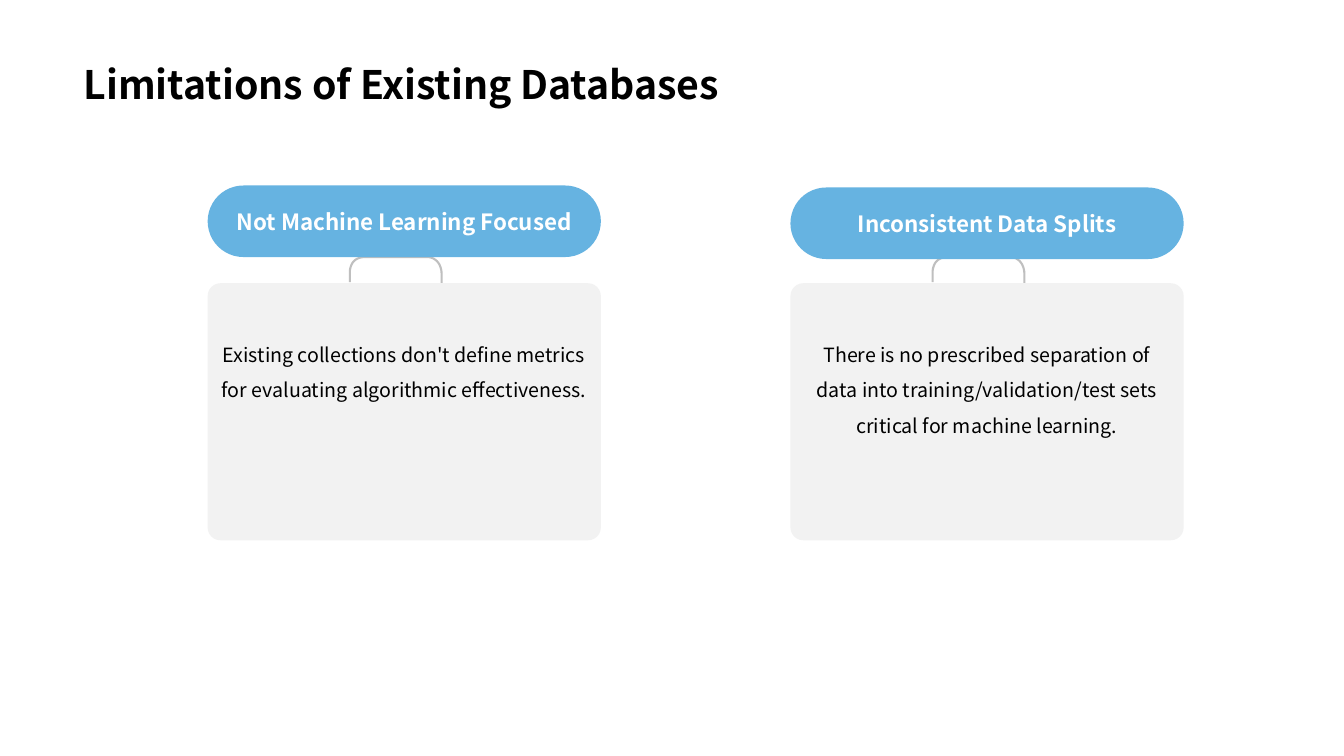
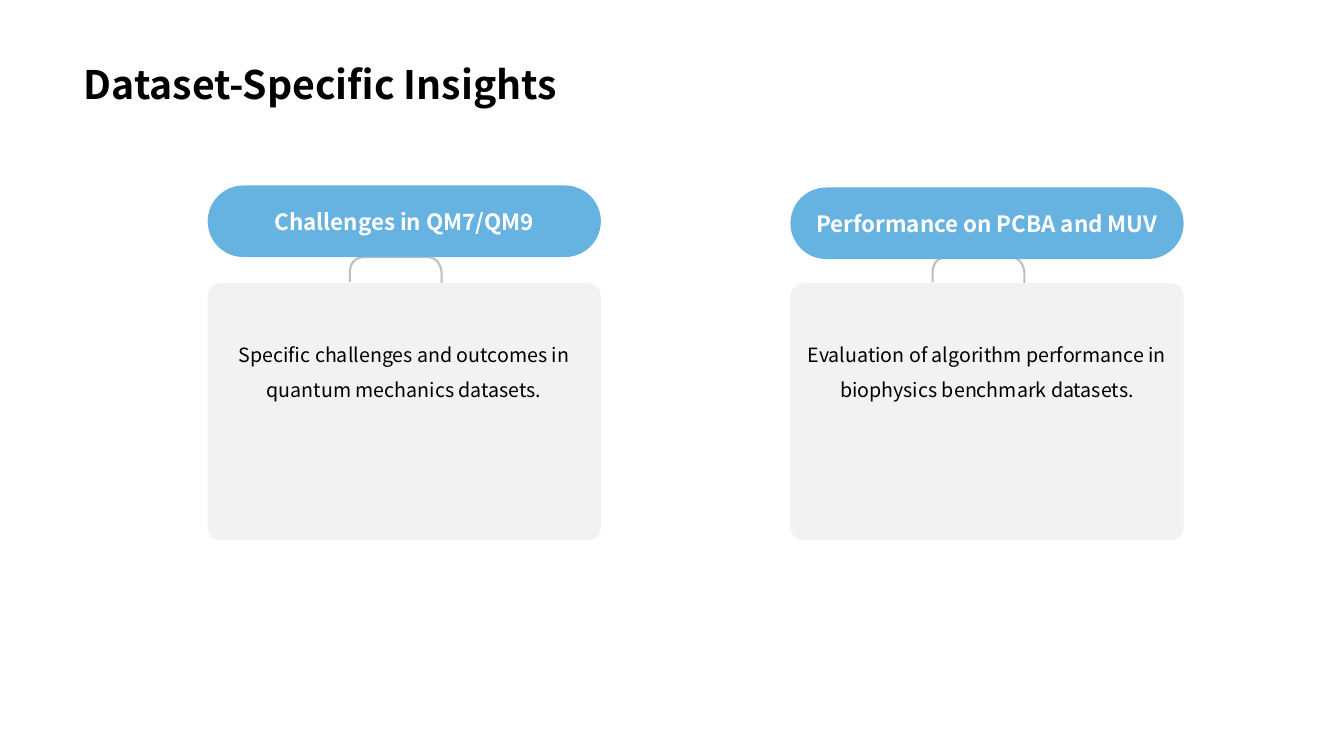
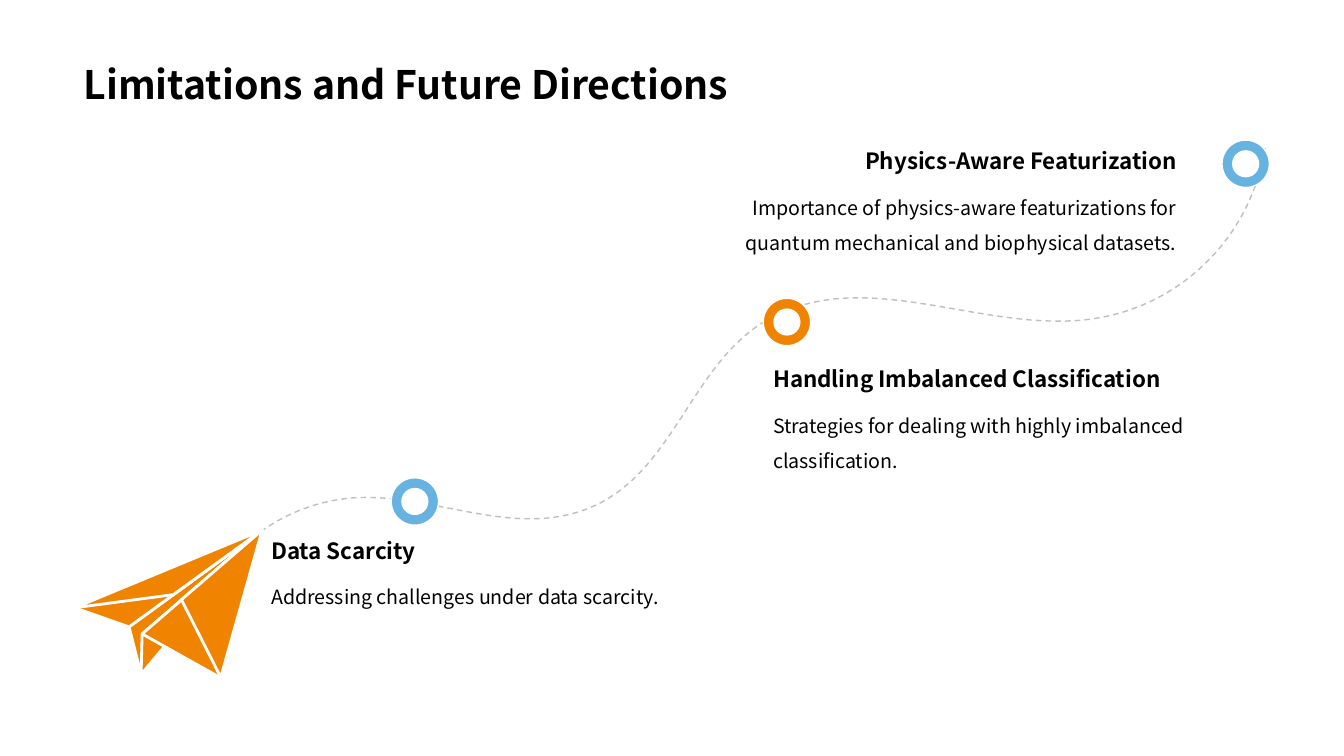
from dataclasses import dataclass

from pptx import Presentation
from pptx.dml.color import RGBColor
from pptx.enum.dml import MSO_LINE
from pptx.enum.shapes import MSO_SHAPE
from pptx.enum.text import MSO_ANCHOR, MSO_AUTO_SIZE, PP_ALIGN
from pptx.util import Pt

DASH = MSO_LINE.DASH
ROUNDED, OVAL = MSO_SHAPE.ROUNDED_RECTANGLE, MSO_SHAPE.OVAL
TOP, MIDDLE, BOTTOM = MSO_ANCHOR.TOP, MSO_ANCHOR.MIDDLE, MSO_ANCHOR.BOTTOM
LEFT, CENTER, RIGHT = PP_ALIGN.LEFT, PP_ALIGN.CENTER, PP_ALIGN.RIGHT
FIXED, GROW = MSO_AUTO_SIZE.NONE, MSO_AUTO_SIZE.SHAPE_TO_FIT_TEXT
EMU_PER_PX = 9144


@dataclass(frozen=True)
class Theme:
    font: str = "Noto Sans CJK SC"
    ink: str = "000000"
    white: str = "FFFFFF"
    blue: str = "66B3E1"
    orange: str = "F08300"
    panel: str = "F2F2F2"
    rule: str = "BFBFBF"
    title_size: int = 28
    heading_size: int = 16
    body_size: int = 14
    body_spacing: float = 1.5


THEME = Theme()
HEADING = dict(size=THEME.heading_size, bold=True)
BODY = dict(size=THEME.body_size, spacing=THEME.body_spacing)

SLIDE_SIZE = (1333, 750)
TITLE_BOX = (73, 0, 1187, 112)

COMPARISONS = [
    ("Limitations of Existing Databases", [
        ("Not Machine Learning Focused",
         "Existing collections don't define metrics for evaluating algorithmic effectiveness."),
        ("Inconsistent Data Splits",
         "There is no prescribed separation of data into training/validation/test sets "
         "critical for machine learning."),
    ]),
    ("Dataset-Specific Insights", [
        ("Challenges in QM7/QM9",
         "Specific challenges and outcomes in quantum mechanics datasets."),
        ("Performance on PCBA and MUV",
         "Evaluation of algorithm performance in biophysics benchmark datasets."),
    ]),
]
CARD_LEFT, CARD_STEP, CARD_WIDTH = 206, 578, 390
PILL_TOP, PILL_DROP, PILL_HEIGHT = 184, 2, 71
PANEL_TOP, PANEL_HEIGHT = 281, 255
PANEL_INSETS = (10, 44, 10, 5)
BRACKET_AT = (141, 255)
BRACKET = [(0, 25), (0, 14), ((1, 4), (7, 0), (16, 0)), (76, 0),
           ((86, 0), (91, 8), (91, 17)), (91, 26)]

ROADMAP_TITLE = "Limitations and Future Directions"
MILESTONES = [
    ("Data Scarcity", "Addressing challenges under data scarcity.",
     (259, 527, 508), LEFT, (388, 474), THEME.blue),
    ("Handling Imbalanced Classification",
     "Strategies for dealing with highly imbalanced classification.",
     (757, 357, 466), LEFT, (757, 296), THEME.orange),
    ("Physics-Aware Featurization",
     "Importance of physics-aware featurizations for quantum mechanical and biophysical datasets.",
     (695, 141, 482), RIGHT, (1212, 139), THEME.blue),
]
HEADING_HEIGHT, BODY_HEIGHT = 37, 77
BADGE, EMBLEM = 47, 27
ROUTE = [(230, 553), ((261, 519), (303, 498), (349, 494)),
         ((429, 488), (512, 537), (589, 502)), ((667, 467), (685, 366), (755, 321)),
         ((856, 257), (979, 336), (1092, 315)), ((1177, 299), (1242, 231), (1255, 145))]
PLANE_NOSE = (260, 526)
PLANE_FOLDS = [
    [(128, 622), (140, 669)],
    [(141, 629), (140, 669)],
    [(74, 603), (128, 622)],
    [(141, 629), (218, 672)],
    [(180, 595), (219, 672)],
    [(74, 603), (172, 590)],
]


def px(*lengths):
    return [round(length * EMU_PER_PX) for length in lengths]


def assign(target, values):
    for name, value in values.items():
        setattr(target, name, value)


def paint(shape, fill=None, line=None, width=1, dash=None):
    shape.shadow.inherit = False
    if fill:
        shape.fill.solid()
        shape.fill.fore_color.rgb = RGBColor.from_string(fill)
    else:
        shape.fill.background()
    if line:
        shape.line.color.rgb = RGBColor.from_string(line)
        assign(shape.line, dict(width=Pt(width), dash_style=dash))
    else:
        shape.line.fill.background()


def write(shape, text, size, color=THEME.ink, bold=False, align=LEFT, spacing=1.0,
          anchor=TOP, insets=(10, 5, 10, 5), fit=FIXED):
    frame = shape.text_frame
    sides = ("margin_left", "margin_top", "margin_right", "margin_bottom")
    assign(frame, dict(zip(sides, px(*insets)),
                       word_wrap=True, auto_size=fit, vertical_anchor=anchor))
    paragraph = frame.paragraphs[0]
    paragraph.text = text
    assign(paragraph, dict(alignment=align, line_spacing=spacing))
    assign(paragraph.font, dict(name=THEME.font, size=Pt(size), bold=bold))
    paragraph.font.color.rgb = RGBColor.from_string(color)


def add_shape(slide, preset, box, corner=None, **look):
    shape = slide.shapes.add_shape(preset, *px(*box))
    if corner is not None:
        shape.adjustments[0] = corner
    paint(shape, **look)
    return shape


def trace(steps, samples=30):
    points = [steps[0]]
    for step in steps[1:]:
        if len(step) == 2:
            points.append(step)
            continue
        controls = (points[-1], *step)
        for i in range(1, samples + 1):
            t = i / samples
            weights = ((1 - t) ** 3, 3 * t * (1 - t) ** 2, 3 * t * t * (1 - t), t ** 3)
            points.append(tuple(sum(w * c[axis] for w, c in zip(weights, controls))
                                for axis in (0, 1)))
    return points


def add_outline(slide, steps, offset=(0, 0), close=False, **look):
    points = [px(x + offset[0], y + offset[1]) for x, y in trace(steps)]
    builder = slide.shapes.build_freeform(*points[0], scale=1.0)
    builder.add_line_segments(points[1:], close=close)
    paint(builder.convert_to_shape(), **look)


def add_titled_slide(deck, title):
    slide = deck.slides.add_slide(deck.slide_layouts[5])
    heading = slide.shapes.title
    assign(heading, dict(zip(("left", "top", "width", "height"), px(*TITLE_BOX))))
    write(heading, title, THEME.title_size, bold=True, spacing=0.9, anchor=BOTTOM)
    return slide


def add_comparison(deck, title, cards):
    slide = add_titled_slide(deck, title)
    for column, (label, detail) in enumerate(cards):
        left = CARD_LEFT + column * CARD_STEP
        add_outline(slide, BRACKET, (left + BRACKET_AT[0], BRACKET_AT[1]),
                    line=THEME.rule, width=1.5)
        pill = add_shape(slide, ROUNDED,
                         (left, PILL_TOP + column * PILL_DROP, CARD_WIDTH, PILL_HEIGHT),
                         corner=0.5, fill=THEME.blue)
        write(pill, label, color=THEME.white, align=CENTER, anchor=MIDDLE, **HEADING)
        panel = add_shape(slide, ROUNDED, (left, PANEL_TOP, CARD_WIDTH, PANEL_HEIGHT),
                          corner=0.05, fill=THEME.panel)
        write(panel, detail, align=CENTER, insets=PANEL_INSETS, **BODY)


def add_roadmap(deck):
    slide = add_titled_slide(deck, ROADMAP_TITLE)
    add_outline(slide, ROUTE, line=THEME.rule, dash=DASH)
    for fold in PLANE_FOLDS:
        add_outline(slide, [*fold, PLANE_NOSE], close=True,
                    fill=THEME.orange, line=THEME.white, width=2)
    inset = (BADGE - EMBLEM) / 2
    for label, detail, (left, top, width), align, (x, y), color in MILESTONES:
        add_shape(slide, OVAL, (x, y, BADGE, BADGE), fill=color, line=THEME.white)
        add_shape(slide, OVAL, (x + inset, y + inset, EMBLEM, EMBLEM), fill=THEME.white)
        body = slide.shapes.add_textbox(*px(left, top + HEADING_HEIGHT, width, BODY_HEIGHT))
        write(body, detail, align=align, fit=GROW, **BODY)
        heading = slide.shapes.add_textbox(*px(left, top, width, HEADING_HEIGHT))
        write(heading, label, align=align, anchor=BOTTOM, fit=GROW, **HEADING)


def main():
    deck = Presentation()
    deck.slide_width, deck.slide_height = px(*SLIDE_SIZE)
    for title, cards in COMPARISONS:
        add_comparison(deck, title, cards)
    add_roadmap(deck)
    deck.save("out.pptx")


if __name__ == "__main__":
    main()
